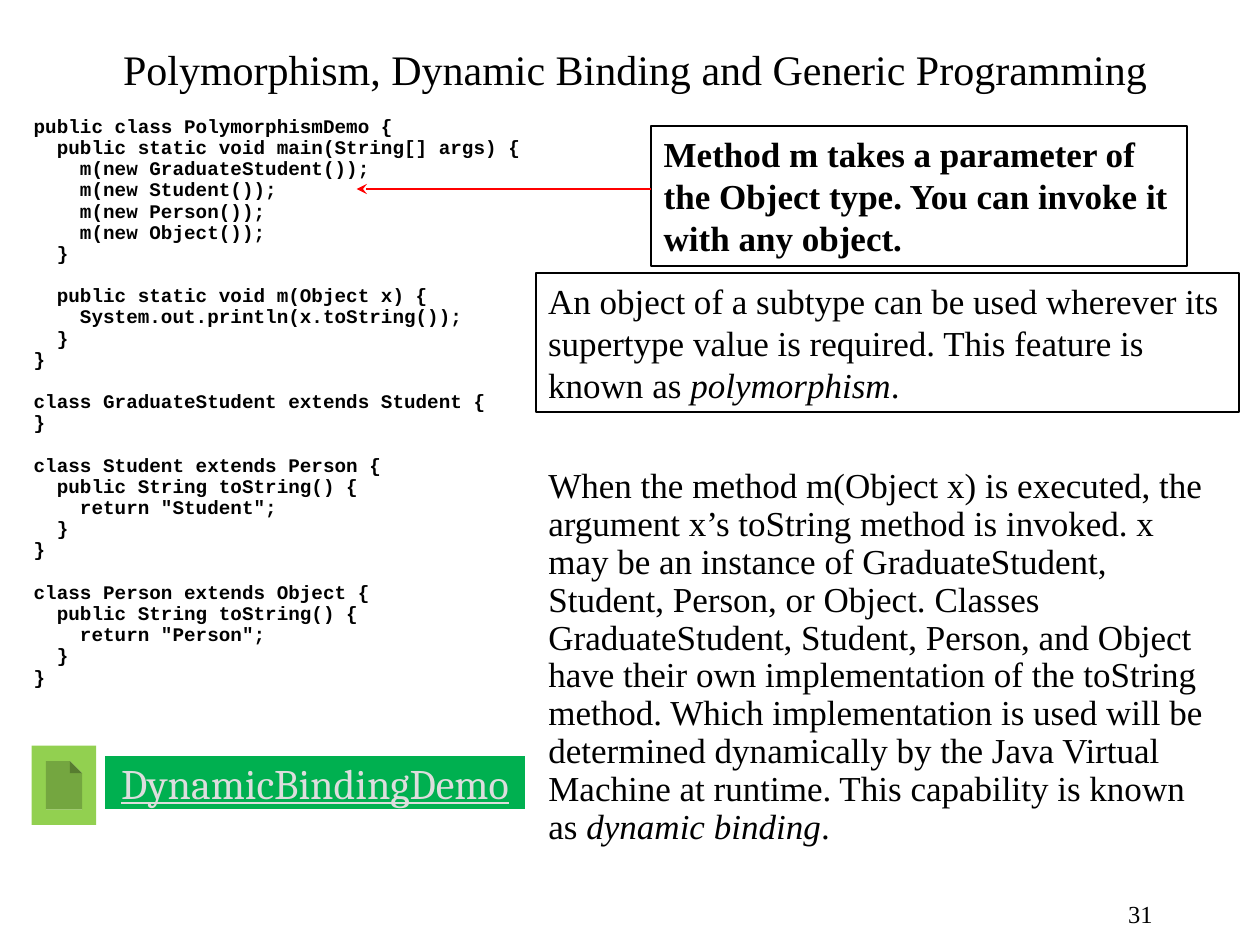
from dataclasses import dataclass

from lxml.etree import SubElement
from pptx import Presentation
from pptx.dml.color import RGBColor
from pptx.enum.shapes import MSO_CONNECTOR, MSO_SHAPE
from pptx.enum.text import MSO_ANCHOR, MSO_AUTO_SIZE, PP_ALIGN
from pptx.oxml.ns import qn
from pptx.util import Cm, Pt


@dataclass(frozen=True)
class Theme:
    """Colours, fonts and type sizes of the slide."""
    ink: str = "000000"
    paper: str = "FFFFFF"
    arrow: str = "FF0000"
    button: str = "00B050"
    icon: str = "92D050"
    link: str = "DDDDDD"
    serif: str = "Times New Roman"
    mono: str = "Courier New"
    label: str = "Cambria"
    title: int = 24
    text: int = 20
    number: int = 14
    code: int = 11
    code_line: float = 12.1


@dataclass(frozen=True)
class Box:
    """A rectangle in centimetres."""
    x: float
    y: float
    w: float
    h: float

    def lengths(self) -> tuple:
        """Return left, top, width and height as lengths."""
        return Cm(self.x), Cm(self.y), Cm(self.w), Cm(self.h)


@dataclass(frozen=True)
class Callout:
    """A framed remark with an optional italic term at its end."""
    box: Box
    text: str
    term: str = ""
    bold: bool = False


T = Theme()

CODE = """public class PolymorphismDemo {
  public static void main(String[] args) {
    m(new GraduateStudent());
    m(new Student());
    m(new Person());
    m(new Object());
  }

  public static void m(Object x) {
    System.out.println(x.toString());
  }
}

class GraduateStudent extends Student {
}

class Student extends Person {
  public String toString() {
    return "Student";
  }
}

class Person extends Object {
  public String toString() {
    return "Person";
  }
}"""

CALLOUTS = [
    Callout(Box(13.13, 2.54, 10.8, 2.82),
            "Method m takes a parameter of the Object type. "
            "You can invoke it with any object.", bold=True),
    Callout(Box(10.8, 5.51, 14.18, 2.79),
            "An object of a subtype can be used wherever its supertype value "
            "is required. This feature is known as ", "polymorphism"),
]

BINDING = (
    "When the method m(Object x) is executed, the argument x’s toString method "
    "is invoked. x may be an instance of GraduateStudent, Student, Person, or "
    "Object. Classes GraduateStudent, Student, Person, and Object have their own "
    "implementation of the toString method. Which implementation is used will be "
    "determined dynamically by the Java Virtual Machine at runtime. "
    "This capability is known as ")


def add_run(p, text: str, *, size: float = T.text, font: str = T.serif,
            color: str = T.ink, bold: bool = False, italic: bool = False,
            underline: bool = False) -> None:
    """Append formatted text to a paragraph."""
    r = p.add_run()
    r.text = text
    f = r.font
    f.size, f.name, f.bold, f.italic = Pt(size), font, bold, italic
    f.underline = underline
    f.color.rgb = RGBColor.from_string(color)


def add_statement(p, text: str, term: str, bold: bool = False) -> None:
    """Append a sentence that closes with an italic term."""
    add_run(p, text, bold=bold)
    if term:
        add_run(p, term, italic=True)
        add_run(p, ".")


def set_frame(sp, wrap: bool = True, anchor=MSO_ANCHOR.TOP):
    """Set wrapping and anchoring and return the text frame."""
    tf = sp.text_frame
    tf.auto_size = MSO_AUTO_SIZE.NONE
    tf.word_wrap, tf.vertical_anchor = wrap, anchor
    return tf


def place(sp, box: Box) -> None:
    """Move and resize a placeholder."""
    sp.left, sp.top, sp.width, sp.height = box.lengths()


def add_panel(s, kind, box: Box, fill: str, line: str = ""):
    """Add a filled preset shape, outlined if a line colour is given."""
    sp = s.shapes.add_shape(kind, *box.lengths())
    sp.shadow.inherit = False
    sp.fill.solid()
    sp.fill.fore_color.rgb = RGBColor.from_string(fill)
    if line:
        sp.line.color.rgb = RGBColor.from_string(line)
        sp.line.width = Pt(1)
    else:
        sp.line.fill.background()
    return sp


def add_callout(s, c: Callout) -> None:
    """Add a framed remark."""
    sp = add_panel(s, MSO_SHAPE.RECTANGLE, c.box, T.paper, T.ink)
    p = set_frame(sp).paragraphs[0]
    p.alignment = PP_ALIGN.LEFT
    add_statement(p, c.text, c.term, c.bold)


def add_code(s, box: Box, code: str) -> None:
    """Add the listing, with a line of space between its blocks."""
    tf = set_frame(s.shapes.add_textbox(*box.lengths()))
    tf.margin_top = 0
    for b, block in enumerate(code.split("\n\n")):
        for i, line in enumerate(block.split("\n")):
            p = tf.add_paragraph() if b or i else tf.paragraphs[0]
            p.line_spacing = Pt(T.code_line)
            p.space_before = Pt(T.code_line if b and not i else 0)
            add_run(p, line, size=T.code, font=T.mono, bold=True)


def add_arrow(s, x1: float, x2: float, y: float) -> None:
    """Add a horizontal arrow pointing at x2."""
    cx = s.shapes.add_connector(MSO_CONNECTOR.STRAIGHT, Cm(x1), Cm(y), Cm(x2), Cm(y))
    cx.line.color.rgb = RGBColor.from_string(T.arrow)
    cx.line.width = Pt(1)
    SubElement(cx.line._get_or_add_ln(), qn("a:tailEnd"), type="stealth")
    SubElement(cx._element.spPr, qn("a:effectLst"))


def main() -> None:
    """Build and save the slide."""
    prs = Presentation()
    prs.slide_width, prs.slide_height = Cm(25.4), Cm(19.05)
    s = prs.slides.add_slide(prs.slide_layouts[1])
    title, body = s.placeholders

    place(title, Box(0.64, 0.43, 24.33, 1.9))
    p = set_frame(title, anchor=MSO_ANCHOR.MIDDLE).paragraphs[0]
    p.alignment = PP_ALIGN.CENTER
    add_run(p, "Polymorphism, Dynamic Binding and Generic Programming", size=T.title)

    place(body, Box(10.8, 9.32, 13.97, 8.05))
    p = set_frame(body).paragraphs[0]
    pPr = p._p.get_or_add_pPr()
    pPr.set("marL", "0")
    pPr.set("indent", "0")
    SubElement(pPr, qn("a:buNone"))
    p.line_spacing, p.space_before = 0.9, Pt(0)
    add_statement(p, BINDING, "dynamic binding")

    add_code(s, Box(0.43, 2.34, 10.36, 12.78), CODE)
    for c in CALLOUTS:
        add_callout(s, c)
    add_arrow(s, 13.13, 7.19, 3.81)

    button = add_panel(s, MSO_SHAPE.ACTION_BUTTON_CUSTOM,
                       Box(2.12, 15.24, 8.46, 1.06), T.button)
    p = set_frame(button, wrap=False, anchor=MSO_ANCHOR.MIDDLE).paragraphs[0]
    p.alignment = PP_ALIGN.CENTER
    add_run(p, "DynamicBindingDemo", size=T.title, font=T.label, color=T.link,
            underline=True)
    add_panel(s, MSO_SHAPE.ACTION_BUTTON_DOCUMENT, Box(0.64, 15.03, 1.3, 1.6), T.icon)

    number = s.shapes.add_textbox(*Box(18.21, 17.78, 5.28, 1.27).lengths())
    p = set_frame(number, wrap=False, anchor=MSO_ANCHOR.MIDDLE).paragraphs[0]
    p.alignment = PP_ALIGN.RIGHT
    add_run(p, "31", size=T.number)

    prs.save("out.pptx")


if __name__ == "__main__":
    main()
